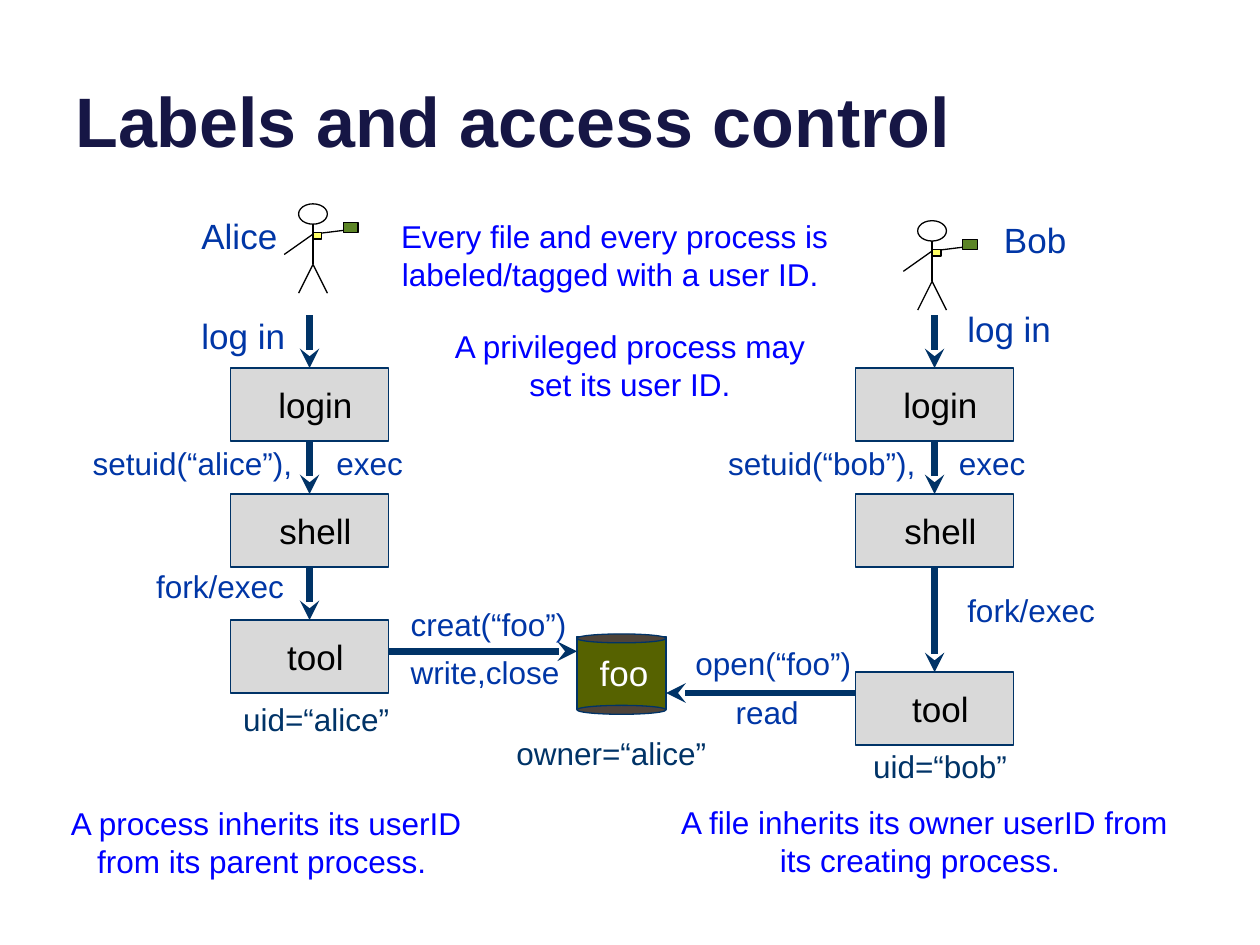
from typing import NamedTuple

from lxml import etree
from pptx import Presentation
from pptx import util as u
from pptx.dml.color import RGBColor
from pptx.enum import shapes, text
from pptx.oxml.ns import qn

COLORS = {
    "title": "161645", "label": "0036A6", "navy": "003367", "note": "0000FF",
    "box": "D9D9D9", "file": "566200", "lid": "4E4339", "cup": "5C8526",
    "badge": "FFFF66", "black": "000000", "white": "FFFFFF",
}
RECT = shapes.MSO_SHAPE.RECTANGLE
OVAL = shapes.MSO_SHAPE.OVAL
LEFT, CENTER = text.PP_ALIGN.LEFT, text.PP_ALIGN.CENTER
TOP, MIDDLE = text.MSO_ANCHOR.TOP, text.MSO_ANCHOR.MIDDLE
BOX_W, BOX_H = 3.18, 1.47
LOGIN_Y = 6.35


class Label(NamedTuple):
    x: float
    y: float
    w: float
    words: str
    size: int = 18
    color: str = "label"


class Note(NamedTuple):
    x: float
    y: float
    w: float
    words: str


class Column(NamedTuple):
    x: float
    tops: tuple[float, ...]


class Person(NamedTuple):
    x: float  # centre of the body
    y: float  # top of the head


def rgb(name: str) -> RGBColor:
    return RGBColor.from_string(COLORS[name])


def write(tf, words: str, size: int, color: str, align=LEFT, anchor=TOP,
          bold: bool = False, spacing: float = 1.0) -> None:
    tf.word_wrap = True
    tf.vertical_anchor = anchor
    tf.text = words
    p = tf.paragraphs[0]
    p.alignment = align
    p.line_spacing = spacing
    for r in p.runs:
        r.font.name = "Arial"
        r.font.size = u.Pt(size)
        r.font.bold = bold
        r.font.color.rgb = rgb(color)


def add_text(s, x: float, y: float, w: float, h: float, *args, **kwargs) -> None:
    sp = s.shapes.add_textbox(u.Cm(x), u.Cm(y), u.Cm(w), u.Cm(h))
    write(sp.text_frame, *args, **kwargs)


def add_shape(parent, kind, x: float, y: float, w: float, h: float,
              fill: str | None, line: str = "navy"):
    sp = parent.add_shape(kind, u.Cm(x), u.Cm(y), u.Cm(w), u.Cm(h))
    sp.shadow.inherit = False
    if fill:
        sp.fill.solid()
        sp.fill.fore_color.rgb = rgb(fill)
    else:
        sp.fill.background()
    sp.line.color.rgb = rgb(line)
    sp.line.width = u.Pt(0.75)
    return sp


def add_box(s, x: float, y: float, w: float, words: str,
            fill: str = "box", color: str = "black", shift: float = 0.24) -> None:
    sp = add_shape(s.shapes, RECT, x, y, w, BOX_H, fill)
    write(sp.text_frame, words, 20, color, CENTER, MIDDLE)
    sp.text_frame.margin_left = u.Cm(0.25 + shift)


def add_line(parent, x1: float, y1: float, x2: float, y2: float,
             color: str = "black", width: float = 0.75):
    c = parent.add_connector(shapes.MSO_CONNECTOR.STRAIGHT,
                             u.Cm(x1), u.Cm(y1), u.Cm(x2), u.Cm(y2))
    c.line.color.rgb = rgb(color)
    c.line.width = u.Pt(width)
    etree.SubElement(c._element.spPr, qn("a:effectLst"))
    return c


def add_arrow(s, x1: float, y1: float, x2: float, y2: float) -> None:
    c = add_line(s.shapes, x1, y1, x2, y2, "navy", 3.75)
    etree.SubElement(c.line._get_or_add_ln(), qn("a:tailEnd"), type="stealth")


def add_column(s, col: Column) -> None:
    """Draw the chain of processes, each reached by an arrow from above."""
    start = LOGIN_Y
    middle = col.x + BOX_W / 2
    for top, name in zip(col.tops, ("login", "shell", "tool")):
        add_box(s, col.x, top, BOX_W, name)
        add_arrow(s, middle, start, middle, top)
        start = top + BOX_H


def add_person(s, person: Person) -> None:
    x, y = person
    g = s.shapes.add_group_shape().shapes
    limbs = (
        (0, 0.41, 0, 1.22),        # body
        (-0.29, 1.8, 0, 1.22),     # legs
        (0.29, 1.8, 0, 1.22),
        (0.81, 0.51, 0, 0.61),     # arms
        (-0.58, 1.02, 0, 0.61),
    )
    for x1, y1, x2, y2 in limbs:
        add_line(g, x + x1, y + y1, x + x2, y + y2)
    add_shape(g, OVAL, x - 0.29, y, 0.58, 0.41, None, "black")
    add_shape(g, RECT, x + 0.61, y + 0.38, 0.3, 0.2, "cup", "black")
    add_shape(g, RECT, x, y + 0.58, 0.18, 0.13, "badge", "black")


ALICE = Column(4.65, (7.42, 9.96, 12.5))
BOB = Column(17.25, (7.42, 9.96, 13.55))
PEOPLE = (Person(6.31, 4.11), Person(18.79, 4.45))
FILE_X, FILE_Y, FILE_W = 11.63, 12.83, 1.8

LABELS = (
    # Alice's side
    Label(3.81, 4.32, 2.34, "Alice", 20),
    Label(3.81, 6.35, 2.34, "log in", 20),
    Label(1.62, 8.94, 4.8, "setuid(“alice”),"),
    Label(6.53, 8.94, 2.2, "exec"),
    Label(2.9, 11.43, 3.18, "fork/exec"),
    Label(8.03, 12.19, 4.04, "creat(“foo”)"),
    Label(8.03, 13.16, 4.04, "write,close"),
    Label(4.65, 14.1, 4.65, "uid=“alice”", color="navy"),
    # Shared file
    Label(10.16, 14.78, 4.65, "owner=“alice”", color="navy"),
    # Bob's side
    Label(19.99, 4.42, 2.34, "Bob", 20),
    Label(19.25, 6.2, 2.34, "log in", 20),
    Label(14.43, 8.94, 4.5, "setuid(“bob”),"),
    Label(19.08, 8.94, 2.2, "exec"),
    Label(19.25, 11.91, 3.18, "fork/exec"),
    Label(13.77, 12.98, 4.04, "open(“foo”)"),
    Label(14.58, 13.97, 4.04, "read"),
    Label(17.35, 15.06, 4.65, "uid=“bob”", color="navy"),
)
NOTES = (
    Note(6.99, 4.24, 10.8, "Every file and every process is labeled/tagged with a user ID. "),
    Note(8.89, 6.45, 7.62, "A privileged process may set its user ID."),
    Note(1.07, 16.08, 8.59, "A process inherits its userID from its parent process. "),
    Note(13.34, 16.05, 10.59, "A file inherits its owner userID from its creating process. "),
)


def main() -> None:
    prs = Presentation()
    prs.slide_width, prs.slide_height = u.Cm(25.4), u.Cm(19.05)
    s = prs.slides.add_slide(prs.slide_layouts[6])

    # Title
    add_text(s, 1.27, 0.85, 22.86, 2.54, "Labels and access control", 40, "title",
             anchor=text.MSO_ANCHOR.BOTTOM, bold=True)

    # Process chains
    for col in (ALICE, BOB):
        add_column(s, col)

    # File, drawn as a drum, and the calls that reach it
    add_arrow(s, ALICE.x + BOX_W, 13.13, FILE_X, 13.13)
    add_arrow(s, BOB.x, 13.97, FILE_X + FILE_W, 13.97)
    add_box(s, FILE_X, FILE_Y, FILE_W, "foo", "file", "white", 0.1)
    for rim_y in (FILE_Y - 0.05, FILE_Y + 1.39):
        add_shape(s.shapes, OVAL, FILE_X, rim_y, FILE_W, 0.18, "lid")

    # Labels and remarks
    for lb in LABELS:
        add_text(s, lb.x, lb.y, lb.w, 1.02 if lb.size == 20 else 0.94,
                 lb.words, lb.size, lb.color, spacing=0.85)
    for n in NOTES:
        add_text(s, n.x, n.y, n.w, 1.8, n.words, 18, "note", CENTER, MIDDLE)

    # Users
    for person in PEOPLE:
        add_person(s, person)

    prs.save("out.pptx")


if __name__ == "__main__":
    main()
